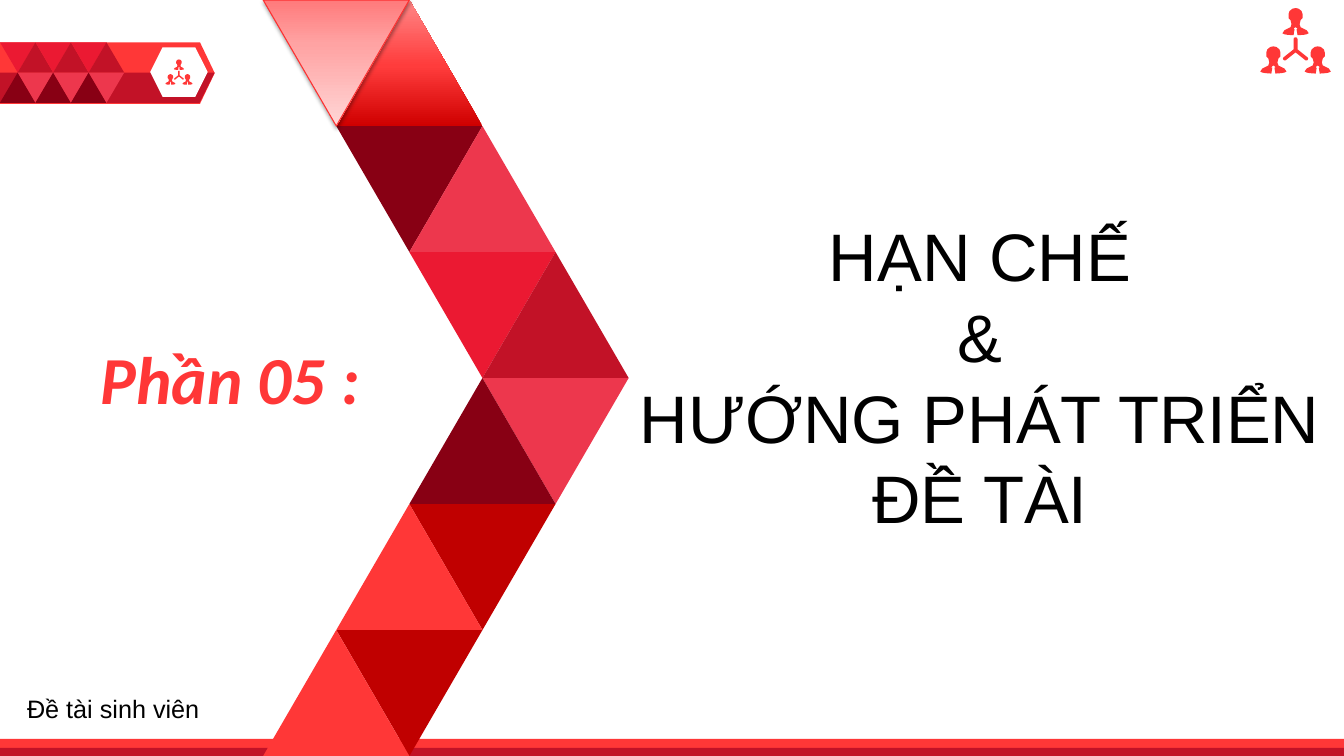
from dataclasses import dataclass
from typing import NamedTuple

from lxml.etree import SubElement
from pptx import Presentation
from pptx.dml.color import RGBColor
from pptx.enum.shapes import MSO_SHAPE
from pptx.enum.text import MSO_AUTO_SIZE, PP_ALIGN
from pptx.oxml.ns import qn
from pptx.util import Inches, Pt

BLACK = RGBColor(0x00, 0x00, 0x00)
WHITE = RGBColor(0xFF, 0xFF, 0xFF)
BRIGHT = RGBColor(0xFF, 0x37, 0x37)
CRIMSON = RGBColor(0xC2, 0x12, 0x27)
SCARLET = RGBColor(0xEB, 0x19, 0x32)
ROSE = RGBColor(0xED, 0x37, 0x4D)
MAROON = RGBColor(0x88, 0x00, 0x14)
DEEP = RGBColor(0xC0, 0x00, 0x00)
OUTLINE = RGBColor(0xFD, 0x30, 0x30)
RED_FADE = ((0, RGBColor(0xCF, 0x00, 0x00)), (48, RGBColor(0xFF, 0x3C, 0x3C)),
            (100, RGBColor(0xFF, 0x87, 0x87)))
PINK_FADE = ((0, RGBColor(0xFF, 0x7A, 0x7B)), (35, RGBColor(0xFF, 0xA3, 0xA3)),
             (100, RGBColor(0xFF, 0xD6, 0xD6)))
Fade = tuple[tuple[int, RGBColor], ...]
Outline = list[tuple[float, float]]


@dataclass(frozen=True)
class Grid:
    """Origin and cell size in inches; positions count columns and rows."""
    left: float
    top: float
    column: float
    row: float

    def point(self, column: float, row: float) -> tuple[int, int]:
        return (Inches(self.left + column * self.column),
                Inches(self.top + row * self.row))

    def frame(self, column: float, row: float, columns: float, rows: float) -> tuple[int, ...]:
        return (*self.point(column, row),
                Inches(columns * self.column), Inches(rows * self.row))


class Tile(NamedTuple):
    column: int
    row: int
    points_up: bool
    fill: RGBColor | Fade


class Label(NamedTuple):
    frame: tuple[float, float, float, float]
    lines: tuple[str, ...]
    size: int
    font: str = "Arial"
    color: RGBColor = BLACK
    emphasis: bool = False
    align: PP_ALIGN = PP_ALIGN.LEFT
    grows: bool = True


SLIDE_WIDTH, SLIDE_HEIGHT = 13.33, 7.5
PAGE = Grid(0, 0, 1, 1)
CHEVRON = Grid(2.61, 0, 0.725, SLIDE_HEIGHT / 6)
BANNER = Grid(0, 0.42, 0.176, 0.3)
LARGE_ICON = Grid(12.5, 0.08, 0.01, 0.01)
SMALL_ICON = Grid(1.64, 0.59, 0.00385, 0.00385)

CHEVRON_TILES = [
    Tile(1, 0, True, RED_FADE), Tile(1, 1, False, MAROON),
    Tile(0, 0, False, PINK_FADE), Tile(2, 1, True, ROSE),
    Tile(2, 2, False, SCARLET), Tile(3, 2, True, CRIMSON),
    Tile(3, 3, False, ROSE), Tile(2, 3, True, MAROON),
    Tile(2, 4, False, DEEP), Tile(1, 4, True, BRIGHT),
    Tile(1, 5, False, DEEP), Tile(0, 5, True, BRIGHT),
]
BANNER_TILES = [
    Tile(column, row, (column + row) % 2 == 1, colors[column % 2])
    for row, colors in enumerate(((SCARLET, CRIMSON), (MAROON, ROSE)))
    for column in range(6)
]

# Right halves of the icon parts, in hundredths of the large icon's inch
PERSON = [(0, 0), (3, 0.6), (6, 3), (7, 6), (7, 8), (7, 10), (5, 12), (4, 16),
          (5, 19), (7, 20), (11, 22), (13, 25), (11, 26), (8, 26.6), (2, 27),
          (1, 21), (2, 21), (1.5, 20), (0, 19)]
BRANCHES = [(0, 0), (1.5, 0.5), (2, 2), (2, 12), (12, 20), (12.5, 21),
            (12, 22.5), (11, 23), (10, 23), (0, 15)]
ICON_PARTS = [(57, 38, PERSON), (13, 38, PERSON), (35, 29, BRANCHES), (35, 0, PERSON)]

LABELS = [
    Label((0.9, 3.3, 4.12, 0.9), ("Phần 05 :",), 48, "Calibri", BRIGHT, emphasis=True),
    Label((6.22, 2.08, 7, 3.33), ("HẠN CHẾ", "&", "HƯỚNG PHÁT TRIỂN", "ĐỀ TÀI"), 48,
          align=PP_ALIGN.CENTER),
    Label((0.17, 6.83, 2.83, 0.4), ("Đề tài sinh viên",), 18, grows=False),
]


def paint(shape, fill: RGBColor | Fade) -> None:
    shape.shadow.inherit = False
    shape.line.fill.background()
    if isinstance(fill, RGBColor):
        shape.fill.solid()
        shape.fill.fore_color.rgb = fill
        return
    shape.fill.gradient()
    shape.fill.gradient_angle = 90
    stops = shape.element.spPr.find(qn("a:gradFill")).find(qn("a:gsLst"))
    for stop in list(stops):
        stops.remove(stop)
    for position, color in fill:
        stop = SubElement(stops, qn("a:gs"), pos=str(position * 1000))
        SubElement(stop, qn("a:srgbClr"), val=str(color))


def add_preset(page, kind: MSO_SHAPE, frame: tuple[int, ...], fill: RGBColor | Fade):
    shape = page.shapes.add_shape(kind, *frame)
    paint(shape, fill)
    return shape


def add_outlines(page, grid: Grid, outlines: list[Outline], fill: RGBColor) -> None:
    builder = None
    for outline in outlines:
        start, *others = [grid.point(*corner) for corner in outline]
        if builder is None:
            builder = page.shapes.build_freeform(*start)
        else:
            builder.move_to(*start)
        builder.add_line_segments(others, close=True)
    paint(builder.convert_to_shape(), fill)


def add_icon(page, grid: Grid) -> None:
    outlines = []
    for center, top, half in ICON_PARTS:
        mirrored = [(-x, y) for x, y in reversed(half[1:-1])]
        outlines.append([(center + x, top + y) for x, y in half + mirrored])
    add_outlines(page, grid, outlines, BRIGHT)


def add_tile(page, grid: Grid, tile: Tile) -> None:
    shape = add_preset(page, MSO_SHAPE.ISOSCELES_TRIANGLE,
                       grid.frame(tile.column, tile.row, 2, 1), tile.fill)
    shape.rotation = 0 if tile.points_up else 180
    if tile.fill is PINK_FADE:
        shape.line.color.rgb = OUTLINE
        shape.line.width = Pt(0.75)
        add_soft_shadow(shape)


def add_soft_shadow(shape) -> None:
    effects = shape.element.spPr.find(qn("a:effectLst"))
    shadow = SubElement(effects, qn("a:outerShdw"), blurRad=str(Pt(3.1)),
                        dist=str(Pt(1.6)), dir="5400000", rotWithShape="0")
    color = SubElement(shadow, qn("a:srgbClr"), val=str(BLACK))
    SubElement(color, qn("a:alpha"), val="37000")


def add_label(page, label: Label) -> None:
    box = page.shapes.add_textbox(*PAGE.frame(*label.frame))
    frame = box.text_frame
    frame.word_wrap = True
    frame.auto_size = MSO_AUTO_SIZE.SHAPE_TO_FIT_TEXT if label.grows else MSO_AUTO_SIZE.NONE
    frame.text = "\n".join(label.lines)
    for para in frame.paragraphs:
        para.alignment = label.align
        for span in para.runs:
            span.font.name = label.font
            span.font.size = Pt(label.size)
            span.font.color.rgb = label.color
            span.font.bold = span.font.italic = label.emphasis


def main() -> None:
    deck = Presentation()
    deck.slide_width, deck.slide_height = PAGE.point(SLIDE_WIDTH, SLIDE_HEIGHT)
    page = deck.slides.add_slide(deck.slide_layouts[6])

    # Banner with its badge
    plate = add_preset(page, MSO_SHAPE.PENTAGON, PAGE.frame(0, 0.42, 2.13, 0.61), BRIGHT)
    plate.adjustments[0] = 0.239
    add_outlines(page, PAGE, [[(0, 0.72), (2.13, 0.72), (1.98, 1.02), (0, 1.02)]], CRIMSON)
    badge = add_preset(page, MSO_SHAPE.HEXAGON, PAGE.frame(1.49, 0.47, 0.57, 0.49), WHITE)
    badge.adjustments[0] = 0.25
    add_icon(page, SMALL_ICON)
    for tile in BANNER_TILES:
        add_tile(page, BANNER, tile)

    # Footer stripes
    for top, height, color in ((7.33, 0.16, BRIGHT), (7.42, 0.08, CRIMSON)):
        add_preset(page, MSO_SHAPE.RECTANGLE, PAGE.frame(0, top, SLIDE_WIDTH, height), color)

    # Chevron of triangles
    for tile in CHEVRON_TILES:
        add_tile(page, CHEVRON, tile)

    # Texts and corner icon
    for label in LABELS:
        add_label(page, label)
    add_icon(page, LARGE_ICON)

    deck.save("out.pptx")


if __name__ == "__main__":
    main()
